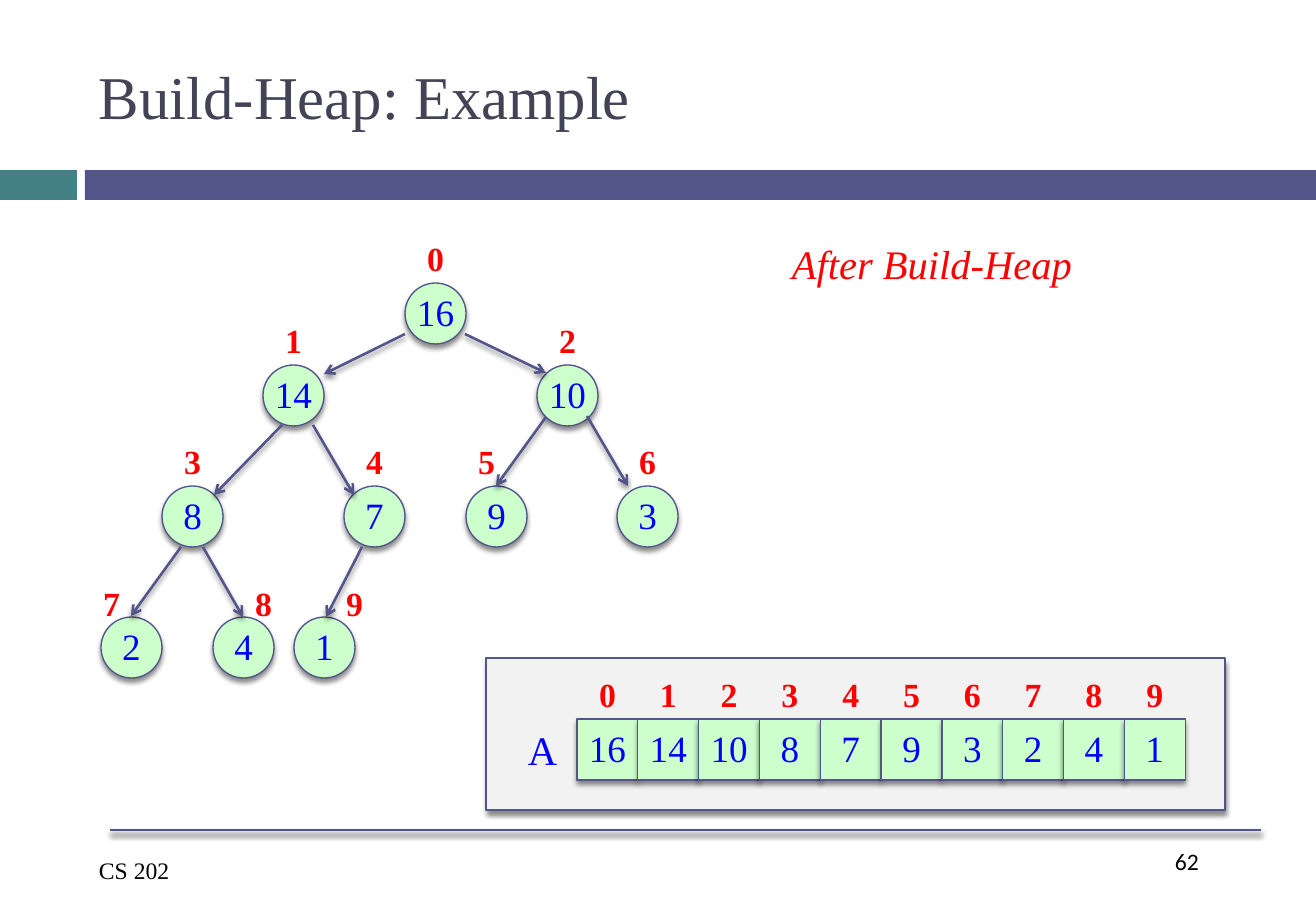
from pptx import Presentation
from pptx.dml.color import RGBColor
from pptx.enum.shapes import MSO_CONNECTOR, MSO_SHAPE
from pptx.enum.text import MSO_ANCHOR, PP_ALIGN
from pptx.oxml import parse_xml
from pptx.oxml.ns import nsdecls, qn
from pptx.util import Emu, Pt

PIXEL = 914400 / 121.5
PAGE_SIZE = (1316, 911)

INDIGO = RGBColor(0x53, 0x54, 0x8A)
TEAL = RGBColor(0x43, 0x80, 0x86)
SLATE = RGBColor(0x42, 0x44, 0x56)
MINT = RGBColor(0xCC, 0xFF, 0xCC)
PALE_GREY = RGBColor(0xF2, 0xF2, 0xF2)
BLUE = RGBColor(0x00, 0x00, 0xFF)
RED = RGBColor(0xFF, 0x00, 0x00)
BLACK = RGBColor(0x00, 0x00, 0x00)

SERIF = "Times New Roman"
TITLE = {"name": SERIF, "size": Pt(36), "color": SLATE}
FOOTER = {"name": SERIF, "size": Pt(14), "color": BLACK}
NUMBER = {"name": "Calibri", "size": Pt(14), "color": BLACK}
CAPTION = {"name": SERIF, "size": Pt(24), "color": RED, "italic": True}
ARRAY_NAME = {"name": SERIF, "size": Pt(24), "color": BLUE}
VALUE = {"name": SERIF, "size": Pt(22), "color": BLUE}
INDEX = {"name": SERIF, "size": Pt(20), "color": RED, "bold": True}

# text, (left, top, width, height), format, anchor
TEXTS = [
    ("62", (1163, 841, 98, 61), NUMBER, MSO_ANCHOR.TOP),
    ("CS 202", (87, 850, 242, 41), FOOTER, MSO_ANCHOR.TOP),
    ("Build-Heap: Example", (87, 30, 1174, 131), TITLE, MSO_ANCHOR.MIDDLE),
    ("After Build-Heap", (780, 233, 307, 61), CAPTION, MSO_ANCHOR.TOP),
    ("A", (516, 719, 55, 61), ARRAY_NAME, MSO_ANCHOR.TOP),
]
BARS = [((0, 170, 77, 30), TEAL), ((85, 170, 1231, 30), INDIGO)]
FOOTER_RULE = (110, 830, 1261, 830)

# heap in array order: value, left, top of each node
HEAP = [
    (16, 405, 283), (14, 263, 365), (10, 537, 365), (8, 162, 486),
    (7, 344, 486), (9, 466, 486), (3, 617, 486), (2, 101, 617),
    (4, 213, 617), (1, 294, 617),
]
CELL = 61
INDEX_SIZE = (41, 53)
INDEX_OFFSET = (10, -51)
SHIFTED_INDEXES = {5: (0, -51), 7: (-10, -40), 8: (30, -40), 9: (40, -40)}

# parent to child: from x, from y, to x, to y
ARROWS = [
    (405, 334, 324, 374), (465, 334, 546, 373), (282, 425, 214, 495),
    (313, 425, 354, 495), (546, 417, 496, 486), (587, 416, 628, 486),
    (181, 547, 131, 616), (203, 547, 243, 617), (362, 547, 326, 617),
]
PANEL = (486, 658, 739, 152)
ARRAY_LEFT, ARRAY_TOP, ARRAY_WIDTH = 577, 719, 608


def scaled(lengths):
    """Turn pixel lengths into EMU."""
    return [Emu(round(length * PIXEL)) for length in lengths]


def add_shadow(item):
    """Give a shape or connector the soft shadow below it."""
    item._element.spPr.append(parse_xml(
        f'<a:effectLst {nsdecls("a")}>'
        '<a:outerShdw blurRad="38100" dist="30000" dir="5400000" rotWithShape="0">'
        '<a:srgbClr val="000000"><a:alpha val="45000"/></a:srgbClr>'
        '</a:outerShdw></a:effectLst>'))


def write(frame, text, style, anchor, align=PP_ALIGN.LEFT):
    """Put one formatted line of text into a frame."""
    frame.vertical_anchor = anchor
    para = frame.paragraphs[0]
    para.alignment = align
    span = para.add_run()
    span.text = str(text)
    for key, value in style.items():
        if key == "color":
            span.font.color.rgb = value
        else:
            setattr(span.font, key, value)


def add_text(page, text, bounds, style, anchor, align=PP_ALIGN.LEFT):
    """Add a one-line text box."""
    box = page.shapes.add_textbox(*scaled(bounds))
    box.text_frame.word_wrap = False
    write(box.text_frame, text, style, anchor, align)


def add_block(page, kind, bounds, fill, outlined=True):
    """Add a filled shape, with outline and shadow if outlined."""
    block = page.shapes.add_shape(kind, *scaled(bounds))
    block.fill.solid()
    block.fill.fore_color.rgb = fill
    if outlined:
        block.line.color.rgb = INDIGO
        block.line.width = Pt(0.79)
        add_shadow(block)
    else:
        block.line.fill.background()
        block.shadow.inherit = False
    return block


def add_line(page, ends, arrow=False):
    """Add a shadowed line, with an arrowhead at its end if asked."""
    line = page.shapes.add_connector(MSO_CONNECTOR.STRAIGHT, *scaled(ends))
    line.line.color.rgb = INDIGO
    line.line.width = Pt(1.5)
    if arrow:
        outline = line._element.spPr.find(qn("a:ln"))
        outline.append(parse_xml(f'<a:tailEnd {nsdecls("a")} type="arrow"/>'))
    add_shadow(line)


def add_entry(page, kind, index, value, left, top, offset):
    """Add a heap value in a shape, with its index outside."""
    block = add_block(page, kind, (left, top, CELL, CELL), MINT)
    frame = block.text_frame
    margins = {"margin_left": 0, "margin_right": 0, "margin_top": 0, "margin_bottom": 4}
    for key, pixels in margins.items():
        setattr(frame, key, scaled([pixels])[0])
    frame.word_wrap = False
    write(frame, value, VALUE, MSO_ANCHOR.MIDDLE, PP_ALIGN.CENTER)
    bounds = (left + offset[0], top + offset[1], *INDEX_SIZE)
    add_text(page, index, bounds, INDEX, MSO_ANCHOR.TOP, PP_ALIGN.CENTER)


deck = Presentation()
deck.slide_width, deck.slide_height = scaled(PAGE_SIZE)
page = deck.slides.add_slide(deck.slide_layouts[6])

for bounds, fill in BARS:
    add_block(page, MSO_SHAPE.RECTANGLE, bounds, fill, outlined=False)
add_line(page, FOOTER_RULE)
add_block(page, MSO_SHAPE.RECTANGLE, PANEL, PALE_GREY)

for index, (value, left, top) in enumerate(HEAP):
    offset = SHIFTED_INDEXES.get(index, INDEX_OFFSET)
    add_entry(page, MSO_SHAPE.OVAL, index, value, left, top, offset)
    cell_left = ARRAY_LEFT + index * ARRAY_WIDTH / len(HEAP)
    add_entry(page, MSO_SHAPE.RECTANGLE, index, value, cell_left, ARRAY_TOP, INDEX_OFFSET)
for ends in ARROWS:
    add_line(page, ends, arrow=True)
for text, bounds, style, anchor in TEXTS:
    add_text(page, text, bounds, style, anchor)

deck.save("out.pptx")
